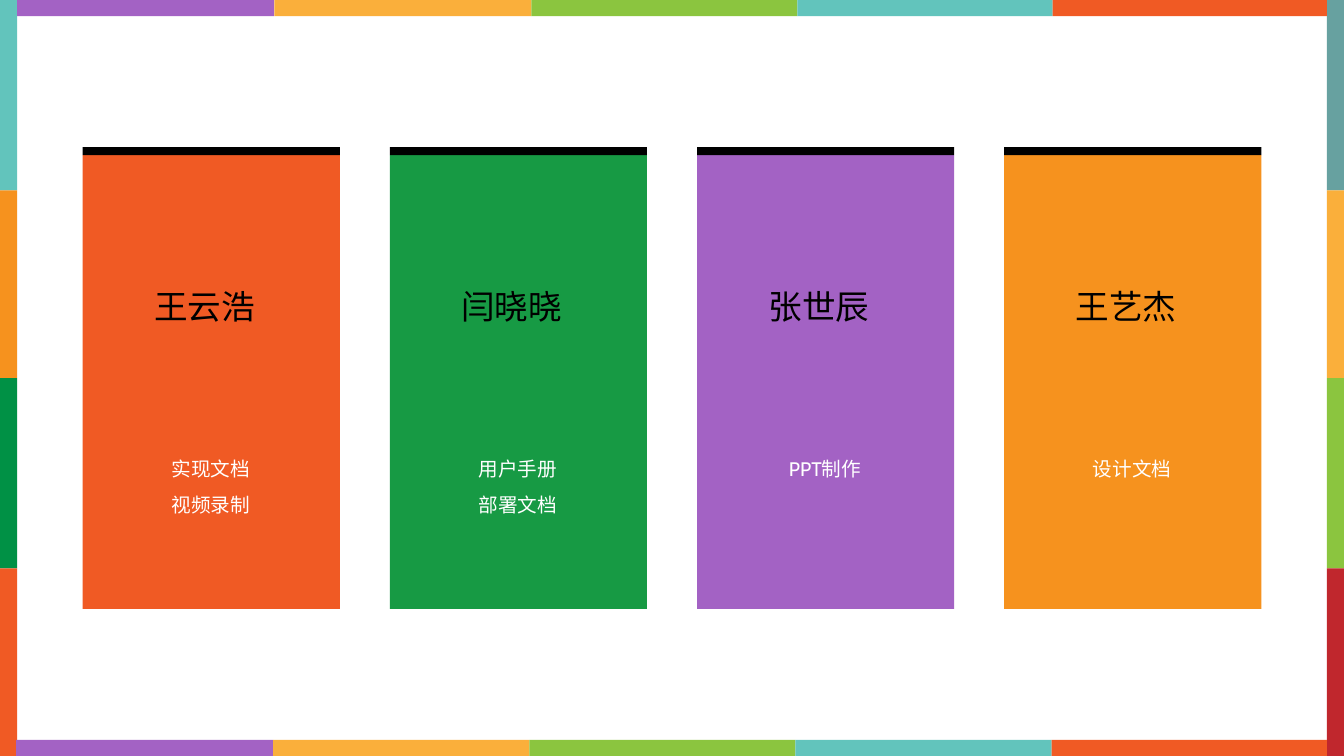
from pptx import Presentation
from pptx.dml.color import RGBColor
from pptx.enum import shapes, text
from pptx.util import Inches, Pt

TEAL = RGBColor(0x62, 0xC4, 0xBC)
DARK_TEAL = RGBColor(0x67, 0xA1, 0xA0)
ORANGE = RGBColor(0xF6, 0x92, 0x1E)
AMBER = RGBColor(0xFA, 0xAF, 0x3B)
DARK_GREEN = RGBColor(0x00, 0x91, 0x45)
GREEN = RGBColor(0x17, 0x9A, 0x44)
LIME = RGBColor(0x8B, 0xC5, 0x3F)
VERMILION = RGBColor(0xF0, 0x5A, 0x24)
RED = RGBColor(0xC0, 0x27, 0x2D)
PURPLE = RGBColor(0xA3, 0x62, 0xC4)
BLACK = RGBColor(0, 0, 0)
WHITE = RGBColor(0xFF, 0xFF, 0xFF)

deck = Presentation()
deck.slide_width, deck.slide_height = Inches(13.33), Inches(7.5)
slide = deck.slides.add_slide(deck.slide_layouts[6])


def add_block(left, top, width, height, color):
    block = slide.shapes.add_shape(
        shapes.MSO_SHAPE.RECTANGLE,
        Inches(left), Inches(top), Inches(width), Inches(height))
    block.shadow.inherit = False
    block.fill.solid()
    block.fill.fore_color.rgb = color
    block.line.fill.background()


def add_text(left, top, width, height, lines, size, font, color,
             paragraph_format, frame_format):
    frame = slide.shapes.add_textbox(
        Inches(left), Inches(top), Inches(width), Inches(height)).text_frame
    frame.word_wrap = True
    for name, value in frame_format.items():
        setattr(frame, name, value)
    frame.text = "\n".join(lines)
    for paragraph in frame.paragraphs:
        for name, value in paragraph_format.items():
            setattr(paragraph, name, value)
        run_font = paragraph.runs[0].font
        run_font.size, run_font.name = Pt(size), font
        run_font.color.rgb = color


# Side borders
side_edges = [0, 1.89, 3.75, 5.64, 7.5]
side_colors = {
    0: [TEAL, ORANGE, DARK_GREEN, VERMILION],
    13.16: [DARK_TEAL, AMBER, LIME, RED],
}
for left, colors in side_colors.items():
    for top, bottom, color in zip(side_edges, side_edges[1:], colors):
        add_block(left, top, 0.17, bottom - top, color)

# Top and bottom borders
band_colors = [PURPLE, AMBER, LIME, TEAL, VERMILION]
band_edges = {
    0: [0.17, 2.72, 5.27, 7.91, 10.44, 13.16],
    7.34: [0.16, 2.71, 5.25, 7.89, 10.43, 13.16],
}
for top, edges in band_edges.items():
    for left, right, color in zip(edges, edges[1:], band_colors):
        add_block(left, top, right - left, 0.16, color)

# Member cards: name and tasks
members = [
    ("王云浩", ["实现文档", "视频录制"], VERMILION),
    ("闫晓晓", ["用户手册", "部署文档"], GREEN),
    ("张世辰", ["PPT制作"], PURPLE),
    ("王艺杰", ["设计文档"], ORANGE),
]
first_left, last_left = 0.82, 9.96
card_pitch = (last_left - first_left) / (len(members) - 1)
task_paragraph = {"alignment": text.PP_ALIGN.CENTER, "line_spacing": 1.5}
task_frame = {
    "margin_left": Inches(0.07), "margin_right": Inches(0.07),
    "margin_top": Inches(0.03), "margin_bottom": Inches(0.03),
}
for index, (member, tasks, color) in enumerate(members):
    left = first_left + index * card_pitch
    add_block(left, 1.54, 2.55, 4.5, color)
    add_block(left, 1.46, 2.55, 0.08, BLACK)
    add_text(left + 0.15, 4.39, 2.24, 0.06 + 0.35 * len(tasks), tasks,
             14, "Cabin", WHITE, task_paragraph, task_frame)
    add_text(left + 0.61, 2.79, 1.33, 0.5, [member],
             24, "Calibri", BLACK, {}, {})

deck.save("out.pptx")
